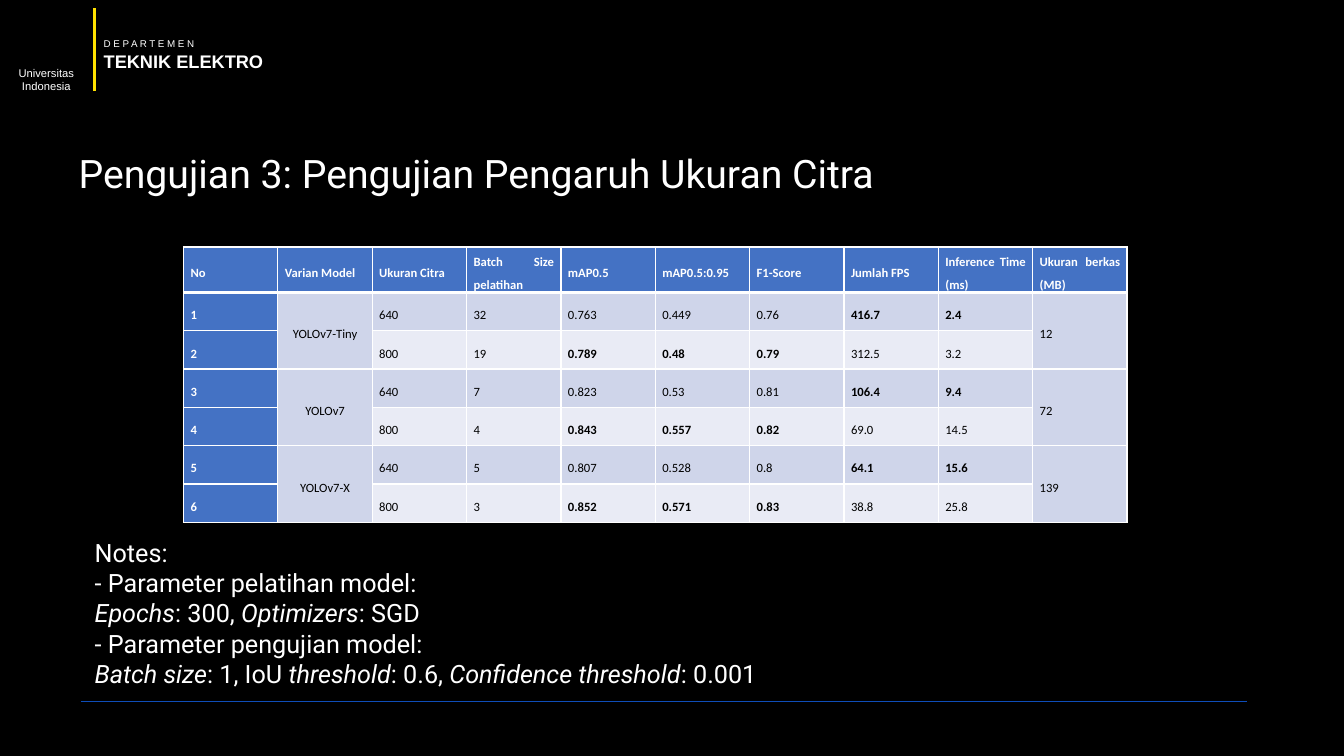
from dataclasses import dataclass

from lxml.etree import SubElement
from pptx import Presentation
from pptx.dml.color import RGBColor
from pptx.enum.shapes import MSO_CONNECTOR
from pptx.enum.text import MSO_ANCHOR, MSO_AUTO_SIZE, PP_ALIGN
from pptx.oxml import parse_xml
from pptx.oxml.ns import nsdecls, qn
from pptx.util import Inches, Pt

WHITE = RGBColor(0xFF, 0xFF, 0xFF)
BLACK = RGBColor(0x00, 0x00, 0x00)
YELLOW = RGBColor(0xFF, 0xE1, 0x00)
RULE_BLUE = RGBColor(0x0E, 0x4D, 0xB9)
HEADER_BLUE = RGBColor(0x44, 0x72, 0xC4)
BAND_DARK = RGBColor(0xCF, 0xD5, 0xEA)
BAND_LIGHT = RGBColor(0xE9, 0xEB, 0xF5)

LEFT, CENTER, JUSTIFY = PP_ALIGN.LEFT, PP_ALIGN.CENTER, PP_ALIGN.JUSTIFY


@dataclass
class Line:
    """One paragraph; parts between asterisks are italic."""
    text: str
    size: float
    font: str = "Roboto"
    bold: bool = False
    color: RGBColor = WHITE
    align: PP_ALIGN = LEFT


@dataclass
class Label:
    box: tuple[float, float, float, float]
    lines: list[Line]
    wrap: bool = True


@dataclass
class Rule:
    start: tuple[float, float]
    end: tuple[float, float]
    color: RGBColor
    width: float


RULES = [
    Rule((0.8, 6.96), (12.37, 6.96), RULE_BLUE, 0.5),
    Rule((0.94, 0.08), (0.94, 0.9), YELLOW, 2.25),
]

NOTES = [
    "Notes:",
    "- Parameter pelatihan model:",
    "*Epochs*: 300, *Optimizers*: SGD",
    "- Parameter pengujian model:",
    "*Batch size*: 1, IoU *threshold*: 0.6, *Confidence threshold*: 0.001",
]

LABELS = [
    Label((0.93, 0.33, 1.95, 0.44), [
        Line("D E P A R T E M E N", 7, "Arial"),
        Line("TEKNIK ELEKTRO", 13, "Arial", bold=True),
    ], wrap=False),
    Label((-0.01, 0.61, 0.94, 0.37), [
        Line(word, 8, "Arial", align=CENTER) for word in ("Universitas", "Indonesia")
    ], wrap=False),
    Label((0.84, 5.28, 7.09, 1.62), [Line(note, 18) for note in NOTES]),
]

HEADERS = ["No", "Varian Model", "Ukuran Citra", "Batch Size pelatihan", "mAP0.5",
           "mAP0.5:0.95", "F1-Score", "Jumlah FPS", "Inference Time (ms)",
           "Ukuran berkas (MB)"]
RESULTS = [
    ["1", "YOLOv7-Tiny", "640", "32", "0.763", "0.449", "0.76", "416.7", "2.4", "12"],
    ["2", "", "800", "19", "0.789", "0.48", "0.79", "312.5", "3.2", ""],
    ["3", "YOLOv7", "640", "7", "0.823", "0.53", "0.81", "106.4", "9.4", "72"],
    ["4", "", "800", "4", "0.843", "0.557", "0.82", "69.0", "14.5", ""],
    ["5", "YOLOv7-X", "640", "5", "0.807", "0.528", "0.8", "64.1", "15.6", "139"],
    ["6", "", "800", "3", "0.852", "0.571", "0.83", "38.8", "25.8", ""],
]
MODEL_COL, FILE_SIZE_COL = 1, 9
ACCURACY_COLS, SPEED_COLS = (4, 5, 6), (7, 8)


def set_all(target, values: dict) -> None:
    for name, value in values.items():
        setattr(target, name, value)


def write_line(p, line: Line) -> None:
    p.alignment = line.align
    for i, part in enumerate(line.text.split("*")):
        if part:
            r = p.add_run()
            r.text = part
            set_all(r.font, {"name": line.font, "size": Pt(line.size),
                             "bold": line.bold, "italic": i % 2 == 1})
            r.font.color.rgb = line.color


def add_label(s, label: Label) -> None:
    tf = s.shapes.add_textbox(*map(Inches, label.box)).text_frame
    set_all(tf, {"word_wrap": label.wrap, "auto_size": MSO_AUTO_SIZE.SHAPE_TO_FIT_TEXT})
    for i, line in enumerate(label.lines):
        write_line(tf.add_paragraph() if i else tf.paragraphs[0], line)


def add_rule(s, rule: Rule) -> None:
    line = s.shapes.add_connector(MSO_CONNECTOR.STRAIGHT,
                                  *map(Inches, rule.start + rule.end))
    line.line.color.rgb = rule.color
    line.line.width = Pt(rule.width)
    SubElement(line._element.spPr, qn("a:effectLst"))


def set_borders(cell, bottom: float) -> None:
    tc_pr = cell._tc.get_or_add_tcPr()
    widths = {"lnL": 1, "lnR": 1, "lnT": 1, "lnB": bottom}
    for i, (side, width) in enumerate(widths.items()):
        tc_pr.insert(i, parse_xml(
            f'<a:{side} {nsdecls("a")} w="{Pt(width)}"><a:solidFill>'
            f'<a:srgbClr val="{WHITE}"/></a:solidFill></a:{side}>'))


def fill_cell(cell, row: int, col: int, text: str) -> None:
    heading = row == 0 or col == 0
    best = col in (ACCURACY_COLS if row % 2 == 0 else SPEED_COLS)
    set_all(cell, {"vertical_anchor": MSO_ANCHOR.MIDDLE,
                   "margin_left": Inches(0.07), "margin_right": Inches(0.07),
                   "margin_top": 0, "margin_bottom": 0})
    cell.fill.solid()
    cell.fill.fore_color.rgb = (HEADER_BLUE if heading
                                else BAND_DARK if row % 2 else BAND_LIGHT)
    set_borders(cell, bottom=1 if row else 3)
    p = cell.text_frame.paragraphs[0]
    set_all(p, {"line_spacing": 1.5, "space_after": Pt(6)})
    write_line(p, Line(text, 9, "Calibri", heading or best,
                       WHITE if heading else BLACK,
                       CENTER if row and col == MODEL_COL else JUSTIFY))


def add_results(s) -> None:
    rows = [HEADERS] + RESULTS
    frame = s.shapes.add_table(len(rows), len(HEADERS), *map(Inches, (1.82, 2.45, 9.36, 2.69)))
    table = frame.table
    for i, row in enumerate(table.rows):
        row.height = Inches(0.38 if i else 0.39)
    for i, values in enumerate(rows):
        for j, text in enumerate(values):
            fill_cell(table.cell(i, j), i, j, text)
    # Each model spans its two image sizes
    for top in range(1, len(rows), 2):
        for col in (MODEL_COL, FILE_SIZE_COL):
            table.cell(top, col).merge(table.cell(top + 1, col))


def add_title(s) -> None:
    title = s.shapes.title
    set_all(title, dict(zip(("left", "top", "width", "height"),
                            map(Inches, (0.68, 1.43, 10.95, 0.57)))))
    tf = title.text_frame
    set_all(tf, {"word_wrap": True, "vertical_anchor": MSO_ANCHOR.MIDDLE,
                 "auto_size": MSO_AUTO_SIZE.NONE})
    write_line(tf.paragraphs[0], Line("Pengujian 3: Pengujian Pengaruh Ukuran Citra", 28))


def main() -> None:
    prs = Presentation()
    set_all(prs, {"slide_width": Inches(13.33), "slide_height": Inches(7.5)})
    s = prs.slides.add_slide(prs.slide_layouts[5])
    s.background.fill.solid()
    s.background.fill.fore_color.rgb = BLACK

    # Title, department header and notes
    add_title(s)
    for rule in RULES:
        add_rule(s, rule)
    for label in LABELS:
        add_label(s, label)

    # Test results
    add_results(s)
    prs.save("out.pptx")


if __name__ == "__main__":
    main()
